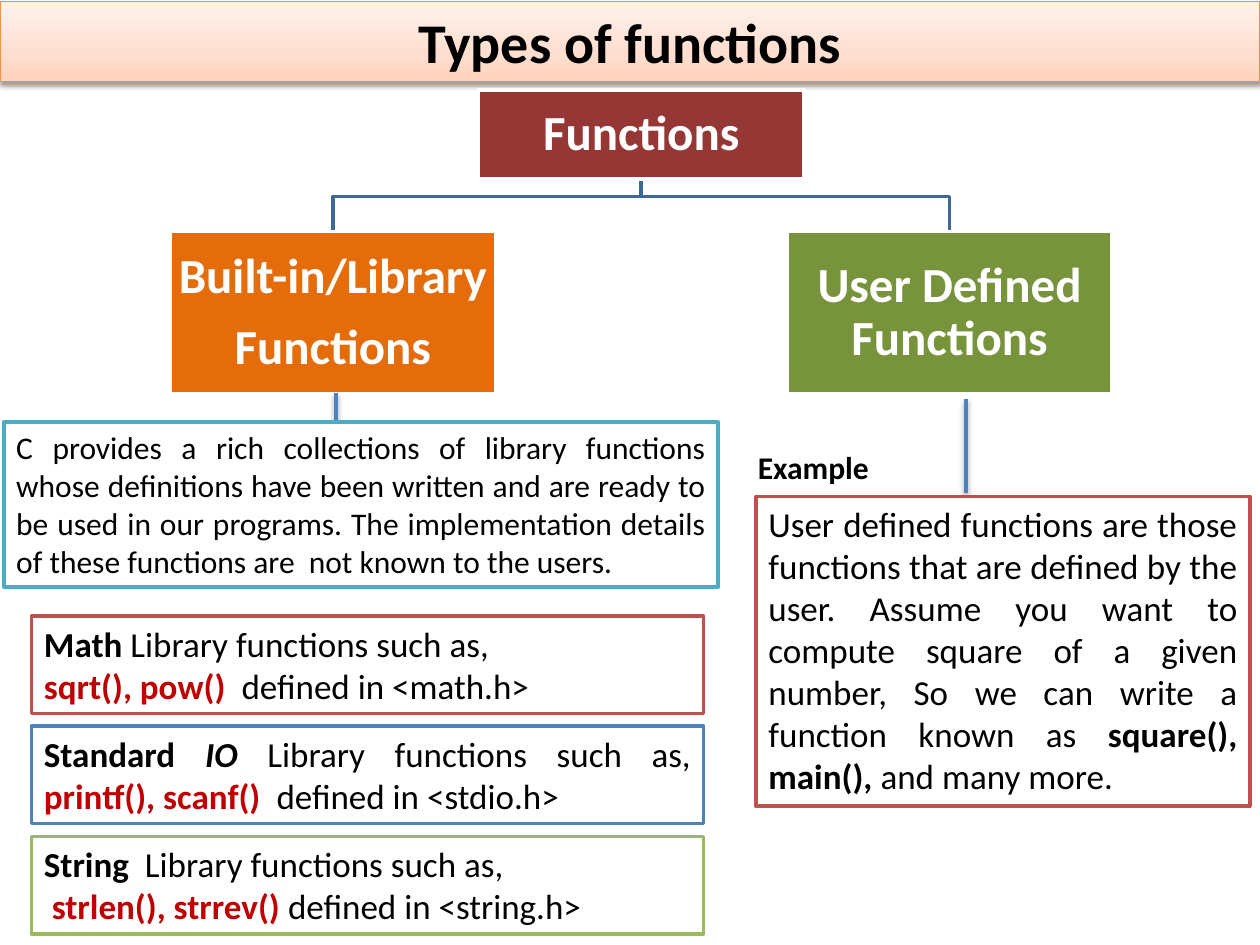
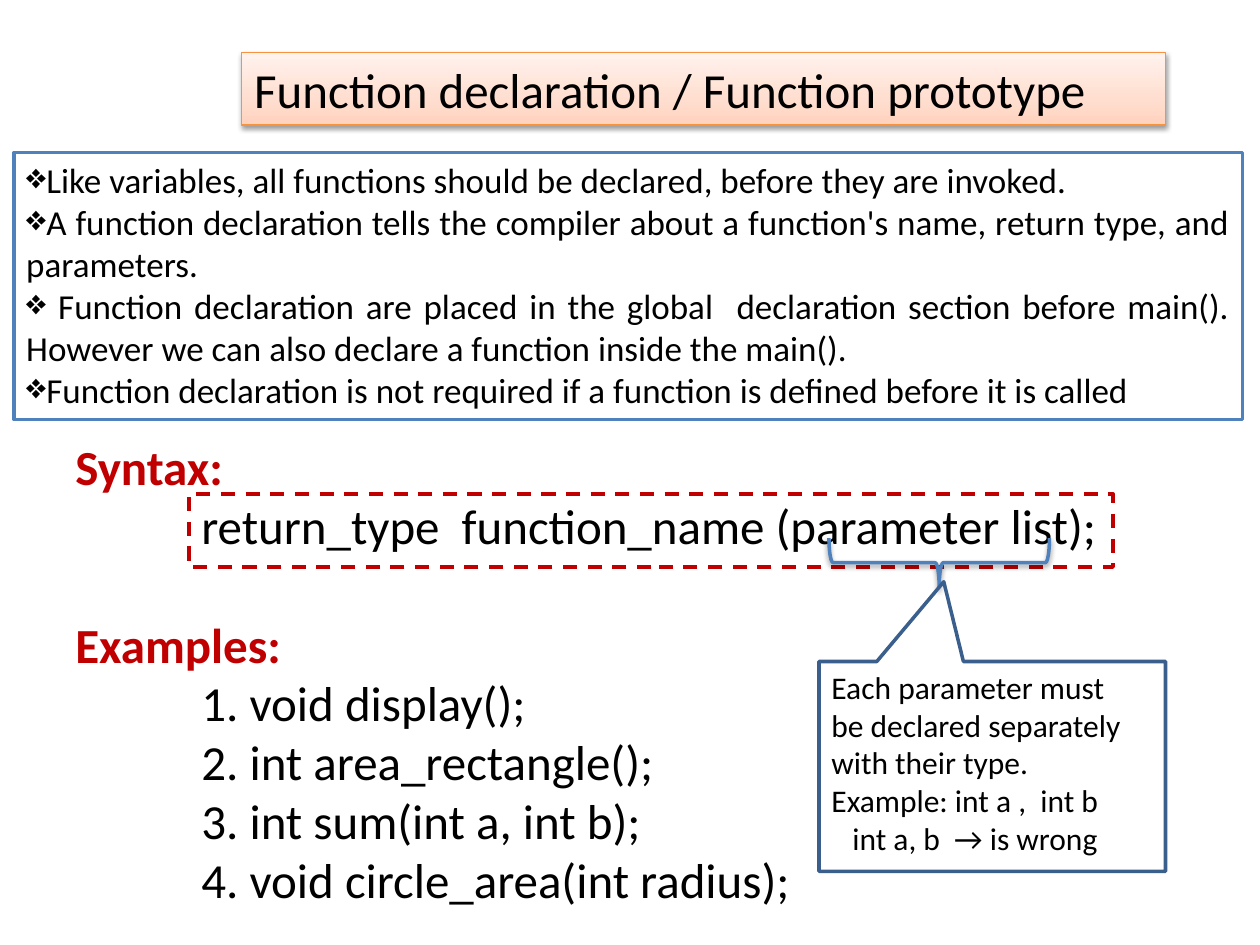
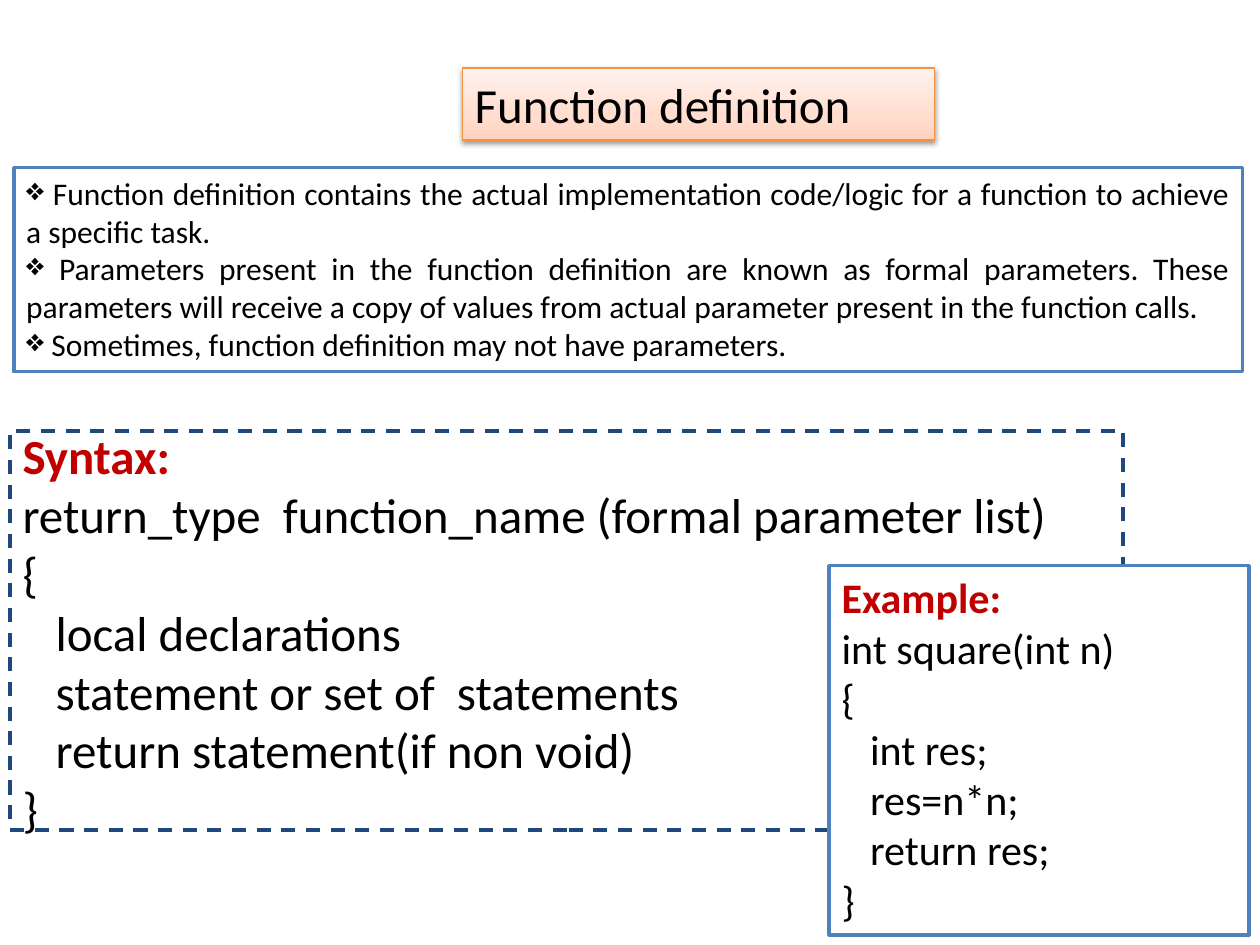
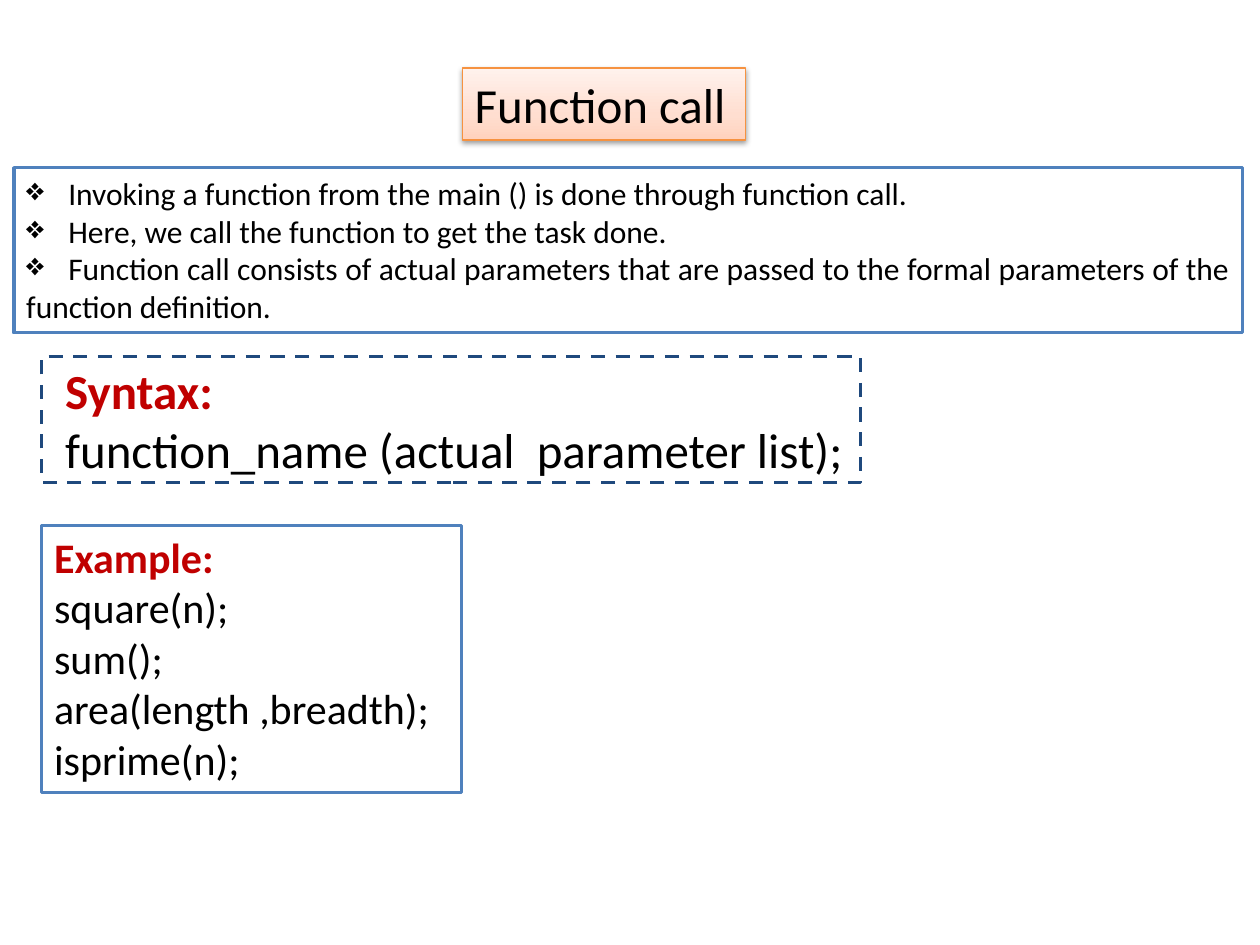
from copy import deepcopy

from lxml import etree
from pptx import Presentation
from pptx.dml.color import RGBColor
from pptx.enum.dml import MSO_LINE
from pptx.enum.shapes import MSO_CONNECTOR, MSO_SHAPE
from pptx.enum.text import MSO_ANCHOR, PP_ALIGN
from pptx.oxml.ns import qn
from pptx.util import Pt

RECT, BRACE = MSO_SHAPE.RECTANGLE, MSO_SHAPE.LEFT_BRACE
CALLOUT = MSO_SHAPE.RECTANGULAR_CALLOUT
STRAIGHT, DASH = MSO_CONNECTOR.STRAIGHT, MSO_LINE.DASH
TOP, MIDDLE = MSO_ANCHOR.TOP, MSO_ANCHOR.MIDDLE
CENTER, JUSTIFY = PP_ALIGN.CENTER, PP_ALIGN.JUSTIFY

FONT = "Calibri"
BLACK, WHITE, RED = "000000", "FFFFFF", "C00000"
BLUE, NAVY, BRICK = "4F81BD", "1F497D", "C0504D"
GREEN, AQUA, ORANGE = "9BBB59", "4BACC6", "F69240"
TREE, EDGE = "3F6797", "3A5F8C"
PEACH = ((0, "FFD2BD"), (0.35, "FFDED0"), (1, "FFF2ED"))

BOLD = {"bold": True}
HOT = {"bold": True, "color": RED}


def rgb(code):
    return RGBColor.from_string(code)


def pts(*vals):
    return [Pt(v) for v in vals]


def add(parent, tag, **attrs):
    node = etree.SubElement(parent, qn(tag))
    for key, val in attrs.items():
        node.set(key, str(val))
    return node


def shade(shape):
    """Give a shape or connector the soft shadow that falls below it."""
    props = shape._element.spPr
    for old in props.findall(qn("a:effectLst")):
        props.remove(old)
    glow = add(add(props, "a:effectLst"), "a:outerShdw", blurRad=Pt(3.1),
               dist=Pt(1.6), dir=5400000, rotWithShape=0)
    add(add(glow, "a:srgbClr", val=BLACK), "a:alpha", val=38000)


def blend(shape):
    """Fill with the three-stop peach gradient, darkest at the bottom."""
    fill = shape.fill
    fill.gradient()
    fill.gradient_angle = 90
    stops = shape._element.spPr.find(".//" + qn("a:gsLst"))
    stops.append(deepcopy(stops[-1]))
    for stop, (place, code) in zip(fill.gradient_stops, PEACH):
        stop.position = place
        stop.color.rgb = rgb(code)


def style(shape, fill=None, line=None, width=2, dash=None):
    shape.shadow.inherit = False
    if fill:
        shape.fill.solid()
        shape.fill.fore_color.rgb = rgb(fill)
    else:
        shape.fill.background()
    if line:
        shape.line.color.rgb = rgb(line)
        shape.line.width = Pt(width)
        if dash:
            shape.line.dash_style = dash
    else:
        shape.line.fill.background()


def para(*runs, left=0, bullet=None, tab=None, **form):
    return {"runs": runs, "left": left, "bullet": bullet, "tab": tab, "form": form}


def write(shape, paras, size, align=None, anchor=TOP, inset=None, **base):
    """Put paragraphs in a shape; base holds font values for every run."""
    frame = shape.text_frame
    form = {"word_wrap": True, "vertical_anchor": anchor}
    if inset is not None:
        sides = ("left", "right", "top", "bottom")
        form.update({f"margin_{side}": Pt(inset) for side in sides})
    for key, val in form.items():
        setattr(frame, key, val)
    for num, item in enumerate(paras):
        if isinstance(item, str):
            item = para(item)
        line = frame.add_paragraph() if num else frame.paragraphs[0]
        props = line._p.get_or_add_pPr()
        props.set("marL", str(Pt(item["left"])))
        props.set("indent", "0")
        if item["bullet"]:
            add(props, "a:buChar", char=item["bullet"])
        if item["tab"]:
            add(add(props, "a:tabLst"), "a:tab", pos=Pt(item["tab"]), algn="l")
        for key, val in {"alignment": align or PP_ALIGN.LEFT, **item["form"]}.items():
            setattr(line, key, val)
        for piece in item["runs"]:
            text, extra = (piece, {}) if isinstance(piece, str) else piece
            look = {"name": FONT, "size": Pt(size), "bold": False,
                    "color": BLACK, **base, **extra}
            run = line.add_run()
            run.text = text
            run.font.color.rgb = rgb(look.pop("color"))
            for key, val in look.items():
                setattr(run.font, key, val)


def box(slide, at, paras=(), size=18, fill=WHITE, line=BLUE, dash=None, **text):
    shape = slide.shapes.add_shape(RECT, *pts(*at))
    style(shape, fill, line, dash=dash)
    if paras:
        write(shape, paras, size, **text)
    return shape


def label(slide, at, paras, size, **text):
    write(slide.shapes.add_textbox(*pts(*at)), paras, size, **text)


def title(slide, at, text, size=28, **form):
    shape = slide.shapes.add_shape(RECT, *pts(*at))
    style(shape, line=ORANGE, width=0.75)
    blend(shape)
    shade(shape)
    write(shape, [text], size, **form)


def notes(slide, top, high, lines, size=18, **form):
    """Full-width framed list with diamond bullets."""
    paras = [para(text, bullet="❖", **form) for text in lines]
    box(slide, (7.9, top, 702, high), paras, size, align=JUSTIFY)


def sample(slide, at, lines):
    box(slide, at, [para(("Example:", HOT)), *lines], 24)


def stem(slide, x, top, end):
    line = slide.shapes.add_connector(STRAIGHT, *pts(x, top, x, end))
    line.line.color.rgb = rgb(BLUE)
    line.line.width = Pt(2)
    shade(line)


def tree(slide, at):
    """Root box over two branch boxes, joined by elbow lines."""
    left, top, wide, high = at
    node, root, gap = 186, 51, 30
    mid, base = left + wide / 2, top + root
    fork, row = base + 10, base + gap
    reach = (wide - node) / 2
    for side in (1, -1):
        end = mid + side * reach
        path = slide.shapes.build_freeform(Pt(mid), Pt(base), scale=1.0)
        path.add_line_segments(
            [pts(mid, fork), pts(end, fork), pts(end, row)], close=False)
        style(path.convert_to_shape(), line=TREE)
    low = high - root - gap
    nodes = (
        (mid, top, root, "953735", ["Functions"]),
        (mid - reach, row, low, "E46C0A", ["Built-in/Library", "Functions"]),
        (mid + reach, row, low, "77933C", ["User Defined Functions"]),
    )
    for x, y, tall, fill, lines in nodes:
        paras = [para(text, line_spacing=0.9, space_after=Pt(10)) for text in lines]
        box(slide, (x - node / 2, y, node, tall), paras, 28, fill, WHITE,
            align=CENTER, anchor=MIDDLE, inset=1.4, bold=True, color=WHITE)


def stack(slide, at, pitch):
    """Equal boxes, one for each standard library."""
    left, top, wide, high = at
    libs = (
        (BRICK, [para(("Math", BOLD), " Library functions such as,"),
                 para(("sqrt(), pow()  ", HOT), "defined in <math.h>")]),
        (BLUE, [para(("Standard ", BOLD), ("IO ", {"bold": True, "italic": True}),
                     "Library functions such as, ", ("printf(), scanf()  ", HOT),
                     "defined in <stdio.h>")]),
        (GREEN, [para(("String", BOLD), "  Library functions such as,"),
                 para(("strlen(), strrev() ", HOT), "defined in <string.h>",
                      left=4.5)]),
    )
    for num, (line, paras) in enumerate(libs):
        box(slide, (left, top + num * pitch, wide, high), paras, 20,
            line=line, align=JUSTIFY)


def types(slide):
    title(slide, (0, 0.7, 720, 46), "Types of functions", 32, align=CENTER, bold=True)
    tree(slide, (97.2, 51.3, 538.4, 174))
    stem(slide, 192, 224.6, 248.4)
    stack(slide, (18, 352, 384, 55.7), 63)
    stem(slide, 552, 228, 282)
    box(slide, (432, 283.7, 282.2, 177), [para(
        "User defined functions are those functions that are defined by the user. "
        "Assume you want to compute square of a given number, So we can write a "
        "function known as ", ("square(), main(), ", BOLD), "and many more.")],
        20, line=BRICK, align=JUSTIFY)
    label(slide, (426, 252.7, 96, 29), ["Example"], 18, bold=True)
    box(slide, (2.2, 241.2, 408.2, 94.3), [
        "C provides a rich collections of library functions whose definitions have "
        "been written and are ready to be used in our programs. The implementation "
        "details of these functions are  not known to the users."],
        line=AQUA, align=JUSTIFY)


def remark(slide, at):
    """Callout whose tip meets the brace under the parameter list."""
    left, top, wide, high = at
    label(slide, (left, top, wide - 6, high - 3.4), [
        "Each parameter must be declared separately with their type.",
        "Example: int a ,  int b",
        para("int a, b  → is wrong", left=12)], 18)
    bubble = slide.shapes.add_shape(CALLOUT, *pts(*at))
    style(bubble, line=EDGE)
    bubble.rotation = 180
    bubble.adjustments[0], bubble.adjustments[1] = 0.14, 0.88


def declare(slide):
    title(slide, (138.2, 30.2, 528, 41.2), "Function declaration / Function prototype")
    calls = ("void display();", "int area_rectangle();",
             "int sum(int a, int b);", "void circle_area(int radius);")
    label(slide, (36, 246.2, 648, 278.6), [
        para(("Syntax:", HOT)),
        para("return_type  function_name (parameter list);", left=72),
        para(("Examples:", HOT), space_before=Pt(34)),
        *(para(f"{num}. {call}", left=72) for num, call in enumerate(calls, 1))], 28)
    notes(slide, 87.1, 152.6, [
        "Like variables, all functions should be declared, before they are invoked.",
        "A function declaration tells the compiler about a function's name, "
        "return type, and parameters.",
        " Function declaration are placed in the global  declaration section before "
        "main(). However we can also declare a function inside the main().",
        "Function declaration is not required if a function is defined before "
        "it is called"], 20)
    box(slide, (108, 282.2, 528, 41.8), fill=None, line=RED, dash=DASH)
    brace = slide.shapes.add_shape(BRACE, *pts(522.7, 258.5, 28, 126))
    style(brace, line=BLUE)
    brace.rotation = 270
    shade(brace)
    remark(slide, (468, 378, 198, 120))


def define(slide):
    title(slide, (264.2, 38.9, 270, 41.2), "Function definition")
    label(slide, (5.8, 239.8, 648, 244.8), [
        para(("Syntax:", HOT)),
        "return_type  function_name (formal parameter list)",
        "{",
        "   local declarations",
        "   statement or set of  statements",
        "   return statement(if non void)",
        "}"], 28)
    notes(slide, 95.8, 116.6, [
        " Function definition contains the actual implementation code/logic for a "
        "function to achieve a specific task.",
        " Parameters present in the function definition are known as formal "
        "parameters. These parameters will receive a copy of values from actual "
        "parameter present in the function calls.",
        " Sometimes, function definition may not have parameters."])
    box(slide, (5.8, 246.2, 636, 228), fill=None, line=NAVY, dash=DASH)
    sample(slide, (473.8, 323.3, 240, 211), [
        "int square(int n)", "{", "   int res;", "   res=n*n;", "   return res;", "}"])


def invoke(slide):
    title(slide, (264.2, 38.9, 162, 41.2), "Function call")
    label(slide, (30.2, 202.3, 648, 75), [
        para(("Syntax:", HOT)), "function_name (actual  parameter list);"], 28)
    notes(slide, 95.8, 94.3, [
        "\tInvoking a function from the main () is done through function call.",
        "\tHere, we call the function to get the task done.",
        "\tFunction call consists of actual parameters that are passed to the "
        "formal parameters of the function definition."], tab=24)
    box(slide, (23.8, 203.8, 468, 72), fill=None, line=NAVY, dash=DASH)
    sample(slide, (23.8, 300.2, 240, 152.6), [
        "square(n);", "sum();", "area(length ,breadth);", "isprime(n);"])


def main():
    deck = Presentation()
    deck.slide_width, deck.slide_height = pts(720, 540)
    for build in (types, declare, define, invoke):
        build(deck.slides.add_slide(deck.slide_layouts[6]))
    deck.save("out.pptx")


if __name__ == "__main__":
    main()
